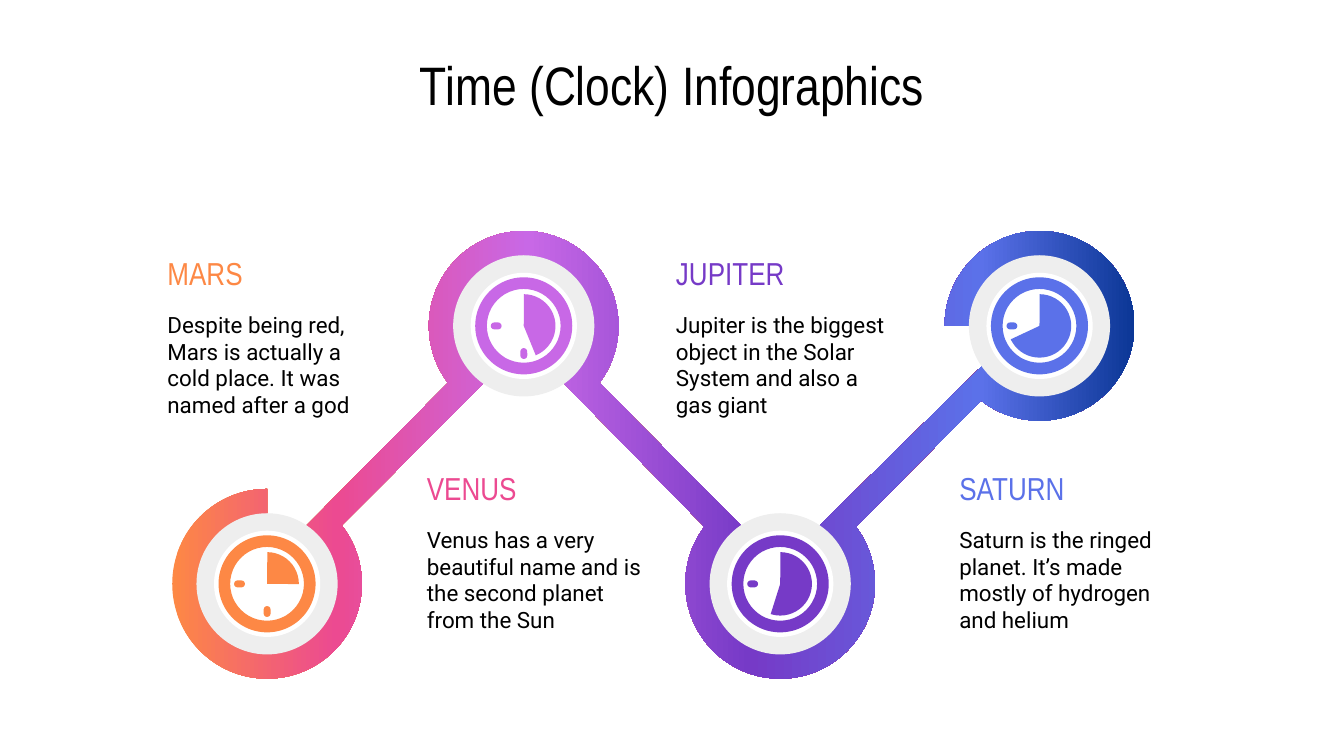
from copy import deepcopy
from math import cos, radians, sin, tan

from pptx import Presentation
from pptx.dml.color import RGBColor
from pptx.enum.shapes import MSO_SHAPE
from pptx.enum.text import MSO_ANCHOR, PP_ALIGN
from pptx.oxml.ns import qn
from pptx.util import Pt

OVAL, DONUT = MSO_SHAPE.OVAL, MSO_SHAPE.DONUT
PIE, PILL = MSO_SHAPE.PIE, MSO_SHAPE.ROUNDED_RECTANGLE
TOP, MIDDLE = MSO_ANCHOR.TOP, MSO_ANCHOR.MIDDLE
LEFT, CENTER = PP_ALIGN.LEFT, PP_ALIGN.CENTER

BLACK, WHITE, GREY = "000000", "FFFFFF", "EEEEEE"
ORANGE, PINK, LILAC = "FD8845", "EC4A91", "C868E6"
PURPLE, BLUE, NAVY = "763AC7", "5B71E9", "0B3796"
HEADING_FONT, BODY_FONT = "Arial Narrow", "Roboto"

UPPER, LOWER = 174.6, 312.8
CENTERS = [(143.1, LOWER), (280.6, UPPER), (418, LOWER), (556.9, UPPER)]
INNER, OUTER = 37.6, 50.8
RIBBON_STOPS = [(0, ORANGE), (0.17, PINK), (0.37, LILAC),
                (0.6, PURPLE), (0.84, BLUE), (1, NAVY)]
RIBBON_ARCS = [
    (3, INNER, 180, 505), (2, INNER, -56, 236), (1, OUTER, 37, -217),
    (0, INNER, -56, 270), (0, OUTER, 270, -38), (1, INNER, 125, 415),
    (2, OUTER, 217, -37), (3, OUTER, 128, -180),
]
CLOCKS = [(ORANGE, 0.4, True), (LILAC, 67.8, True),
          (PURPLE, 107.5, False), (BLUE, 155, False)]
PLANETS = [
    ("MARS", ORANGE, 82.6, 128.9,
     "Despite being red, Mars is actually a cold place. It was named after a god"),
    ("VENUS", PINK, 221.6, 244.1,
     "Venus has a very beautiful name and is the second planet from the Sun"),
    ("JUPITER", PURPLE, 355, 128.9,
     "Jupiter is the biggest object in the Solar System and also a gas giant"),
    ("SATURN", BLUE, 506.8, 244.1,
     "Saturn is the ringed planet. It’s made mostly of hydrogen and helium"),
]


def color(value):
    """Turn a hex string into a colour."""
    return RGBColor.from_string(value)


def write(frame, text, *, size, font, fill=BLACK, align=LEFT, anchor=TOP):
    """Put formatted text into a text frame."""
    frame.word_wrap = True
    frame.vertical_anchor = anchor
    frame.margin_left = frame.margin_right = Pt(7.2)
    frame.margin_top = frame.margin_bottom = Pt(7.2)
    paragraph = frame.paragraphs[0]
    paragraph.alignment = align
    run = paragraph.add_run()
    run.text = text
    run.font.size, run.font.name = Pt(size), font
    run.font.color.rgb = color(fill)


def arc(center, radius, start, end):
    """List the start of an arc, then three Bézier points for each quadrant."""
    def point(angle, pull=0):
        """Place a point on the circle, pulled along its tangent."""
        x, y = cos(radians(angle)), sin(radians(angle))
        return (Pt(center[0] + radius * (x - pull * y)),
                Pt(center[1] + radius * (y + pull * x)))

    low, high = sorted((start, end))
    quadrants = [angle for angle in range(-360, 721, 90) if low < angle < high]
    angles = sorted([low, *quadrants, high], reverse=end < start)
    points = [point(start)]
    for first, last in zip(angles, angles[1:]):
        pull = 4 / 3 * tan(radians(last - first) / 4)
        points += [point(first, pull), point(last, -pull), point(last)]
    return points


class ClockSlide:
    """Draw the elements of the clock slide."""

    def __init__(self, slide):
        """Keep the slide to draw on."""
        self.slide = slide

    def text(self, left, top, width, height, text, **style):
        """Add a text box."""
        box = self.slide.shapes.add_textbox(Pt(left), Pt(top), Pt(width), Pt(height))
        write(box.text_frame, text, **style)

    def shape(self, kind, center, width, height, fill, adjustments=(), line=None):
        """Add a filled preset shape around a center."""
        x, y = center
        shape = self.slide.shapes.add_shape(
            kind, Pt(x - width / 2), Pt(y - height / 2), Pt(width), Pt(height))
        shape.shadow.inherit = False
        shape.fill.solid()
        shape.fill.fore_color.rgb = color(fill)
        if line:
            shape.line.color.rgb = color(line)
            shape.line.width = Pt(0.75)
        else:
            shape.line.fill.background()
        for index, value in enumerate(adjustments):
            shape.adjustments[index] = value

    def curves(self, arcs):
        """Add an outline of arcs joined by straight lines."""
        points = [point for points in arcs for point in points]
        builder = self.slide.shapes.build_freeform(*points[0])
        builder.add_line_segments(points[1:], close=True)
        shape = builder.convert_to_shape()
        segments = iter(list(shape._element.iter(qn("a:moveTo"), qn("a:lnTo"))))
        for points in arcs:
            next(segments)
            for _ in points[1::3]:
                curve, *others = [next(segments) for _ in range(3)]
                curve.tag = qn("a:cubicBezTo")
                for other in others:
                    curve.append(other[0])
                    other.getparent().remove(other)
        return shape

    def ribbon(self):
        """Add the gradient ribbon that winds around the clocks."""
        shape = self.curves([arc(CENTERS[index], *sweep)
                             for index, *sweep in RIBBON_ARCS])
        shape.shadow.inherit = False
        shape.line.fill.background()
        shape.fill.gradient()
        shape.fill.gradient_angle = 0
        stop_list = shape.fill._fill._gradFill.gsLst
        for _ in RIBBON_STOPS[2:]:
            stop_list.append(deepcopy(stop_list[0]))
        for stop, (position, value) in zip(shape.fill.gradient_stops, RIBBON_STOPS):
            stop.position = position
            stop.color.rgb = color(value)

    def clock(self, center, fill, hand_angle, bottom_tick):
        """Add a clock face with its ring, ticks and elapsed time."""
        x, y = center
        self.shape(OVAL, center, 74.9, 74.9, GREY, line=GREY)
        self.shape(OVAL, center, 56.9, 56.9, WHITE)
        self.shape(DONUT, center, 52, 52, fill, [0.12])
        self.shape(PILL, (x - 14.8, y), 5.8, 3.7, fill, [0.5])
        if bottom_tick:
            self.shape(PILL, (x, y + 14.8), 3.7, 5.8, fill, [0.5])
        self.shape(PIE, center, 34, 34, fill, [162.21, hand_angle * 0.6])

    def planet(self, name, fill, left, top, description):
        """Add a planet heading with its description."""
        self.text(left, top, 131, 25.9, name, size=17, font=HEADING_FONT, fill=fill)
        self.text(left, top + 30.4, 131, 80.6, description, size=12, font=BODY_FONT)


def main():
    """Build and save the presentation."""
    presentation = Presentation()
    presentation.slide_width, presentation.slide_height = Pt(720), Pt(405)
    page = ClockSlide(presentation.slides.add_slide(presentation.slide_layouts[6]))
    page.text(36, 33.8, 648, 22.3, "Time (Clock) Infographics",
              size=29, font=HEADING_FONT, align=CENTER, anchor=MIDDLE)
    page.ribbon()
    for center, clock in zip(CENTERS, CLOCKS):
        page.clock(center, *clock)
    for planet in PLANETS:
        page.planet(*planet)
    presentation.save("out.pptx")


if __name__ == "__main__":
    main()
